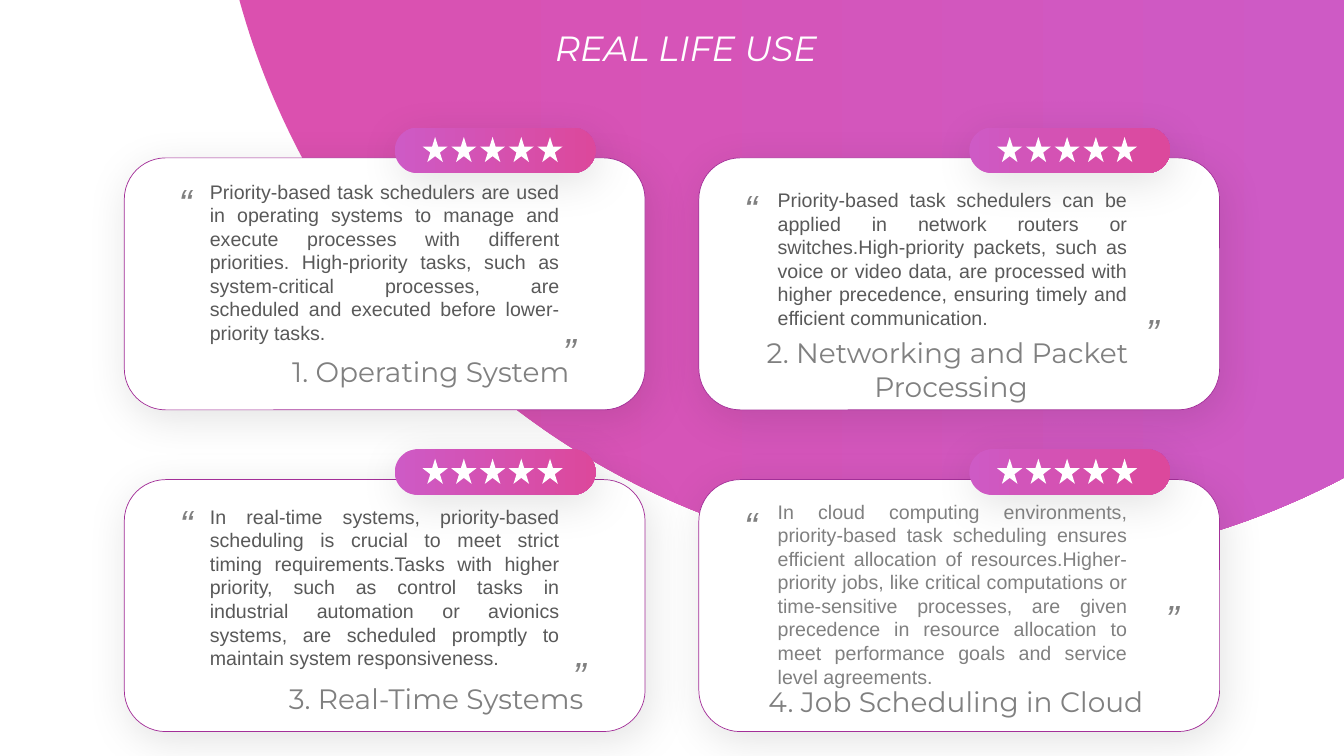
from math import acos, asin, cos, pi, sin
from typing import NamedTuple

from lxml.etree import SubElement
from pptx import Presentation
from pptx.dml.color import RGBColor
from pptx.enum.shapes import MSO_SHAPE
from pptx.enum.text import MSO_ANCHOR, MSO_AUTO_SIZE, PP_ALIGN
from pptx.oxml.ns import qn
from pptx.util import Inches, Pt

COLUMNS, ROWS = 160, 90
WHITE, GRAY, DARK_GRAY, PURPLE = "FFFFFF", "808080", "595959", "A32F98"
ORCHID, PINK, ROSE = "CE5AC5", "DB50AF", "DC489C"


class Card(NamedTuple):
    """Wording of one card; places are columns and rows from its corner."""
    heading: str
    body: str
    heading_box: tuple
    body_box: tuple
    open_quote: tuple
    close_quote: tuple
    heading_align: PP_ALIGN = PP_ALIGN.LEFT
    body_color: str = DARK_GRAY


CARDS = [
    Card("1. Operating System",
         "Priority-based task schedulers are used in operating systems to manage and "
         "execute processes with different priorities. High-priority tasks, such as "
         "system-critical processes, are scheduled and executed before lower-priority tasks.",
         (18.8, 22.8, 39.5, 5.3), (9, 2, 44, 21), (5.3, 1.8), (51, 19.6)),
    Card("2. Networking and Packet\n Processing",
         "Priority-based task schedulers can be applied in network routers or "
         "switches.High-priority packets, such as voice or video data, are processed with "
         "higher precedence, ensuring timely and efficient communication.",
         (4.9, 20.6, 49.4, 9.2), (8.2, 3, 44, 18.1), (4.2, 2.5), (52, 17.3),
         PP_ALIGN.CENTER),
    Card("3. Real-Time Systems",
         "In real-time systems, priority-based scheduling is crucial to meet strict timing "
         "requirements.Tasks with higher priority, such as control tasks in industrial "
         "automation or avionics systems, are scheduled promptly to maintain system "
         "responsiveness.",
         (18.4, 23.4, 41.8, 5.3), (9, 2.4, 44, 21), (5.4, 1.8), (52.2, 19.9)),
    Card("4. Job Scheduling in Cloud ",
         "In cloud computing environments, priority-based task scheduling ensures efficient "
         "allocation of resources.Higher-priority jobs, like critical computations or "
         "time-sensitive processes, are given precedence in resource allocation to meet "
         "performance goals and service level agreements.",
         (5.2, 23.8, 51.7, 5.3), (8.2, 1.8, 44, 23.8), (4.2, 2), (54.4, 13.1),
         PP_ALIGN.CENTER, GRAY),
]


def color(hex_string):
    return RGBColor.from_string(hex_string)


class SlideBuilder:
    heading_font = "Montserrat"
    body_font = "Arial"

    def __init__(self, presentation):
        self.column = presentation.slide_width / COLUMNS
        self.row = presentation.slide_height / ROWS
        self.slide = presentation.slides.add_slide(presentation.slide_layouts[5])

    def place(self, left, top, width, height):
        """Turn columns and rows into lengths."""
        return (round(left * self.column), round(top * self.row),
                round(width * self.column), round(height * self.row))

    def gradient(self, shape, start, end):
        """Fill from left to right."""
        shape.fill.gradient()
        shape.fill.gradient_angle = 0
        for stop, hex_string, position in zip(shape.fill.gradient_stops, (start, end), (0, 1)):
            stop.color.rgb = color(hex_string)
            stop.position = position

    def soft_shadow(self, shape):
        effects = shape._element.spPr.find(qn("a:effectLst"))
        shadow = SubElement(effects, qn("a:outerShdw"), blurRad=str(Pt(31)),
                            dist=str(Pt(7)), dir=str(70 * 60000), algn="ctr", rotWithShape="0")
        tint = SubElement(shadow, qn("a:srgbClr"), val="0D0D0D")
        SubElement(tint, qn("a:alpha"), val="11000")

    def shape(self, kind, box, fill=WHITE, line=None, roundness=None):
        shape = self.slide.shapes.add_shape(kind, *self.place(*box))
        shape.shadow.inherit = False
        shape.fill.solid()
        shape.fill.fore_color.rgb = color(fill)
        if line:
            shape.line.color.rgb = color(line)
            shape.line.width = Pt(0.5)
        else:
            shape.line.fill.background()
        if roundness is not None:
            shape.adjustments[0] = roundness
            self.soft_shadow(shape)
        return shape

    def backdrop(self, center_x, center_y, radius, steps=120):
        """Draw the part of a large circle that lies on the slide."""
        first = pi - asin(-center_y / radius)
        last = acos((COLUMNS - center_x) / radius)
        angles = [first + (last - first) * step / steps for step in range(steps + 1)]
        arc = [((center_x + radius * cos(angle)) * self.column,
                (center_y + radius * sin(angle)) * self.row) for angle in angles]
        builder = self.slide.shapes.build_freeform(*arc[0])
        builder.add_line_segments(arc[1:] + [(COLUMNS * self.column, 0)], close=True)
        shape = builder.convert_to_shape()
        shape.shadow.inherit = False
        shape.line.fill.background()
        self.gradient(shape, PINK, ORCHID)

    def fill_frame(self, frame, text, size, font, hex_string, align, wrap=True, italic=False):
        frame.text = text
        frame.word_wrap = wrap
        frame.auto_size = MSO_AUTO_SIZE.SHAPE_TO_FIT_TEXT
        frame.vertical_anchor = MSO_ANCHOR.TOP
        for paragraph in frame.paragraphs:
            paragraph.alignment = align
            paragraph.font.size = Pt(size)
            paragraph.font.name = font
            paragraph.font.italic = italic
            paragraph.font.color.rgb = color(hex_string)

    def text(self, box, *style, **options):
        text_box = self.slide.shapes.add_textbox(*self.place(*box))
        self.fill_frame(text_box.text_frame, *style, **options)

    def title(self, box, text):
        """Set the title and bring it in front of the backdrop."""
        title = self.slide.shapes.title
        title.left, title.top, title.width, title.height = self.place(*box)
        self.fill_frame(title.text_frame, text, 25, self.heading_font, WHITE,
                        PP_ALIGN.CENTER, italic=True)
        self.slide.shapes._spTree.append(title._element)

    def rating(self, left, top):
        badge = self.shape(MSO_SHAPE.ROUNDED_RECTANGLE, (left, top, 23.9, 5.4), roundness=0.5)
        self.gradient(badge, ORCHID, ROSE)
        for star in range(5):
            self.shape(MSO_SHAPE.STAR_5_POINT, (left + 3.3 + 3.42 * star, top + 1.1, 3, 3))

    def card(self, left, top, card):
        def inside(x, y, width=4, height=6.8):
            return left + x, top + y, width, height

        self.shape(MSO_SHAPE.ROUNDED_RECTANGLE, (left, top, 62, 30),
                   line=PURPLE, roundness=0.164)
        self.text(inside(*card.heading_box), card.heading, 20, self.heading_font, GRAY,
                  card.heading_align, wrap=False)
        self.rating(left + 32.2, top - 3.6)
        for mark, spot in (("“", card.open_quote), ("”", card.close_quote)):
            self.text(inside(*spot), mark, 28, self.body_font, GRAY, PP_ALIGN.LEFT,
                      wrap=False, italic=True)
        self.text(inside(*card.body_box), card.body, 14, self.body_font,
                  card.body_color, PP_ALIGN.JUSTIFY)


def main():
    presentation = Presentation()
    presentation.slide_width, presentation.slide_height = Inches(13.33), Inches(7.5)
    builder = SlideBuilder(presentation)
    builder.backdrop(center_x=117.1, center_y=-24.4, radius=91.9)
    for index, card in enumerate(CARDS):
        row, column = divmod(index, 2)
        builder.card(14.8 + 68.4 * column, 18.8 + 38.3 * row, card)
    builder.title((45.8, 2.6, 72.8, 6.2), "REAL LIFE USE ")
    presentation.save("out.pptx")


if __name__ == "__main__":
    main()
